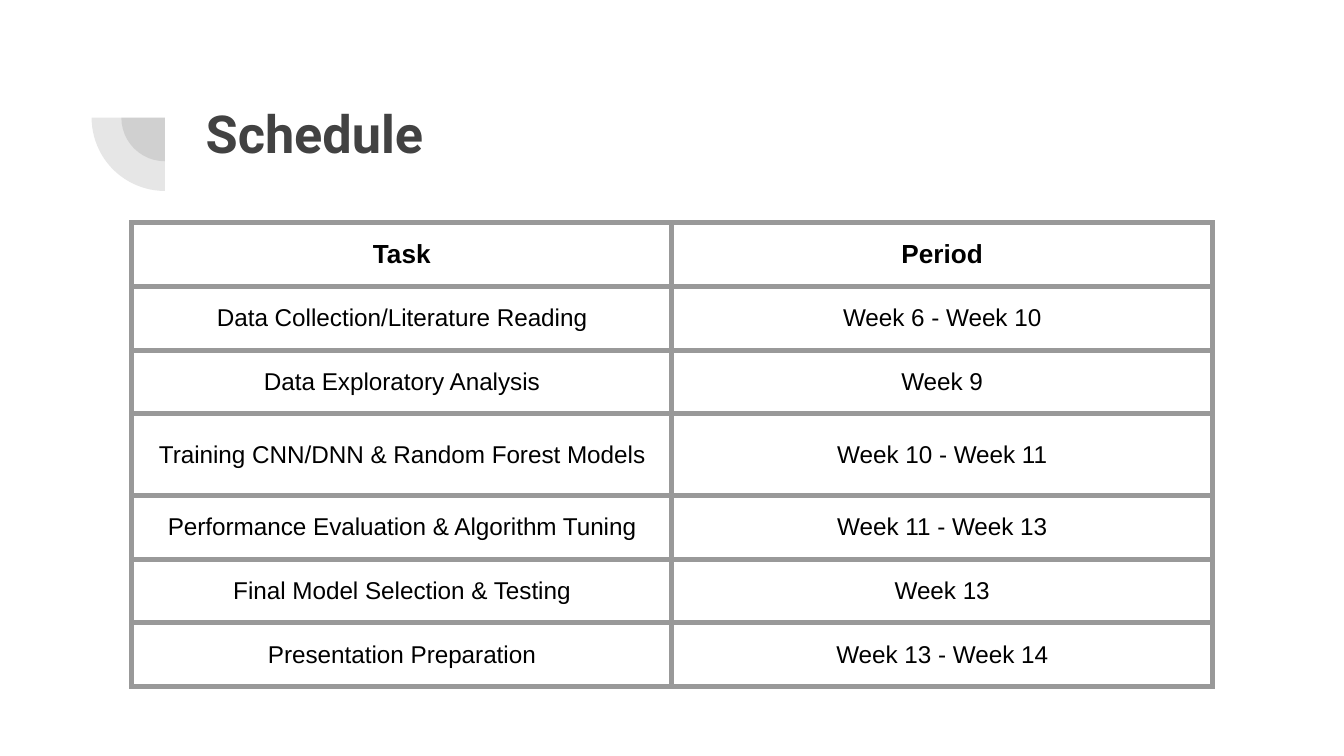
from lxml import etree
from pptx import Presentation
from pptx.dml.color import RGBColor
from pptx.enum.shapes import MSO_SHAPE
from pptx.enum.text import MSO_ANCHOR, MSO_AUTO_SIZE, PP_ALIGN
from pptx.oxml.ns import qn
from pptx.util import Pt

PIE = MSO_SHAPE.PIE
TOP, MIDDLE = MSO_ANCHOR.TOP, MSO_ANCHOR.MIDDLE
LEFT, CENTER = PP_ALIGN.LEFT, PP_ALIGN.CENTER
NO_AUTOFIT = MSO_AUTO_SIZE.NONE
TITLE_ONLY = 5

COLORS = {"dark": "424242", "border": "999999", "text": "000000"}
INSET = Pt(7.2)

SCHEDULE = [
    ("Task", "Period"),
    ("Data Collection/Literature Reading", "Week 6 - Week 10"),
    ("Data Exploratory Analysis", "Week 9"),
    ("Training CNN/DNN & Random Forest Models", "Week 10 - Week 11"),
    ("Performance Evaluation & Algorithm Tuning", "Week 11 - Week 13"),
    ("Final Model Selection & Testing", "Week 13"),
    ("Presentation Preparation", "Week 13 - Week 14"),
]
ROW_HEIGHT, TALL_HEIGHT, TALL_ROW = 34.2, 43.6, 3
COL_WIDTH = 289.5


def set_text(tf, text, font="Arial", size=13, color="text", bold=False, align=CENTER):
    p = tf.paragraphs[0]
    p.alignment = align
    r = p.add_run()
    r.text = text
    r.font.name = font
    r.font.size = Pt(size)
    r.font.bold = bold
    r.font.color.rgb = RGBColor.from_string(COLORS[color])


def set_margins(box):
    box.margin_left = box.margin_right = INSET
    box.margin_top = box.margin_bottom = INSET


def add_quarter(s, cx, cy, radius):
    """Translucent quarter disc, lower left of its centre."""
    sp = s.shapes.add_shape(PIE, Pt(cx - radius), Pt(cy - radius),
                            Pt(2 * radius), Pt(2 * radius))
    sp.adjustments[0], sp.adjustments[1] = 108, 162  # 180 to 270 degrees
    sp.rotation = 270
    sp.shadow.inherit = False
    sp.line.fill.background()
    sp.fill.solid()
    sp.fill.fore_color.rgb = RGBColor.from_string(COLORS["dark"])
    clr = sp.fill._xPr.find(qn("a:solidFill"))[0]
    etree.SubElement(clr, qn("a:alpha"), val="13000")


def add_title(s, text):
    sp = s.shapes.title
    sp.left, sp.top, sp.width, sp.height = Pt(103), Pt(46.8), Pt(553.7), Pt(78.5)
    tf = sp.text_frame
    tf.word_wrap = True
    tf.auto_size = NO_AUTOFIT
    tf.vertical_anchor = TOP
    set_margins(tf)
    set_text(tf, text, font="Roboto", size=28, color="dark", bold=True, align=LEFT)


def set_borders(cell, width):
    tcPr = cell._tc.get_or_add_tcPr()
    for i, side in enumerate(("lnL", "lnR", "lnT", "lnB")):
        ln = etree.Element(qn(f"a:{side}"), w=str(Pt(width)))
        fill = etree.SubElement(ln, qn("a:solidFill"))
        etree.SubElement(fill, qn("a:srgbClr"), val=COLORS["border"])
        tcPr.insert(i, ln)


def add_schedule(s, rows, left, top):
    heights = [TALL_HEIGHT if i == TALL_ROW else ROW_HEIGHT for i in range(len(rows))]
    cols = len(rows[0])
    table = s.shapes.add_table(len(rows), cols, Pt(left), Pt(top),
                               Pt(cols * COL_WIDTH), Pt(sum(heights))).table
    table.first_row = table.horz_banding = False
    for col in table.columns:
        col.width = Pt(COL_WIDTH)
    for i, row in enumerate(rows):
        table.rows[i].height = Pt(heights[i])
        header = i == 0
        for j, text in enumerate(row):
            cell = table.cell(i, j)
            cell.fill.background()
            cell.vertical_anchor = MIDDLE
            set_margins(cell)
            set_borders(cell, 3)
            set_text(cell.text_frame, text, size=14 if header else 13, bold=header)


def main():
    prs = Presentation()
    prs.slide_width, prs.slide_height = Pt(720), Pt(405)
    s = prs.slides.add_slide(prs.slide_layouts[TITLE_ONLY])

    # Corner ornament
    for radius in (23.4, 39.3):
        add_quarter(s, 88.4, 63, radius)

    # Title and schedule
    add_title(s, "Schedule")
    add_schedule(s, SCHEDULE, 70.5, 119.2)

    prs.save("out.pptx")


if __name__ == "__main__":
    main()
